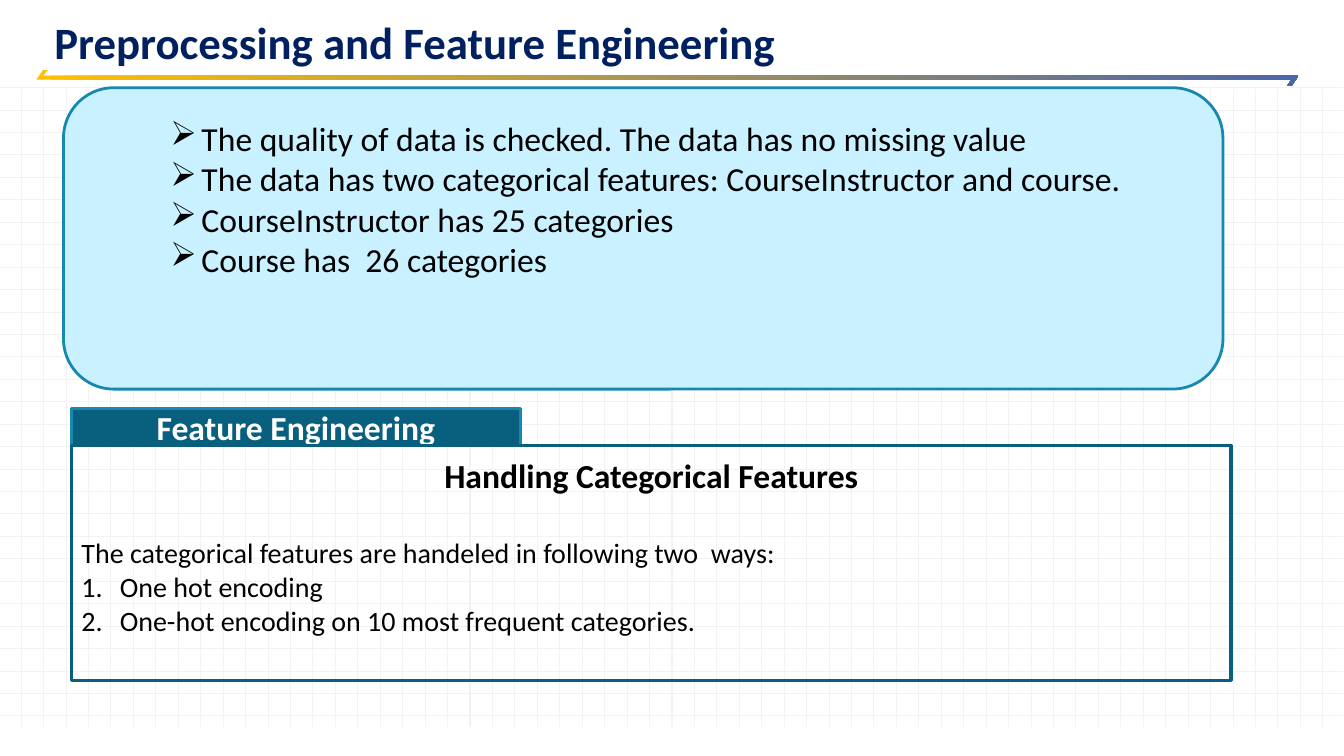
from lxml import etree
from pptx import Presentation
from pptx.dml.color import RGBColor
from pptx.enum.shapes import MSO_CONNECTOR as Connector, MSO_SHAPE as Shape
from pptx.enum.text import MSO_ANCHOR as Anchor, PP_ALIGN as Align
from pptx.oxml.ns import qn
from pptx.util import Inches, Pt

COLORS = {
    "grid": "F2F2F2", "gold": "FFC000", "blue": "4A66AC", "navy": "002060",
    "teal": "095F7E", "edge": "1888B1", "pale": "C9F1FF",
    "black": "000000", "white": "FFFFFF",
}


def rgb(name):
    return RGBColor.from_string(COLORS[name])


class SlideBuilder:
    font = "Calibri"

    def __init__(self, slide):
        self.slide = slide
        self.shapes = slide.shapes

    def line(self, x1, y1, x2, y2, color, width):
        connector = self.shapes.add_connector(
            Connector.STRAIGHT, Inches(x1), Inches(y1), Inches(x2), Inches(y2))
        connector.line.color.rgb = rgb(color)
        connector.line.width = Pt(width)
        properties = connector.element.find(qn("p:spPr"))
        etree.SubElement(properties, qn("a:effectLst"))

    def box(self, kind, left, top, width, height, edge, edge_width, fill=None):
        shape = self.shapes.add_shape(
            kind, Inches(left), Inches(top), Inches(width), Inches(height))
        shape.shadow.inherit = False
        if fill:
            shape.fill.solid()
            shape.fill.fore_color.rgb = rgb(fill)
        else:
            shape.fill.background()
        shape.line.color.rgb = rgb(edge)
        shape.line.width = Pt(edge_width)
        return shape

    def gradient_outline(self, points, start, end):
        corners = [(Inches(x), Inches(y)) for x, y in points]
        builder = self.shapes.build_freeform(*corners[0])
        builder.add_line_segments(corners[1:], close=True)
        shape = builder.convert_to_shape()
        shape.shadow.inherit = False
        shape.line.fill.background()
        shape.fill.gradient()
        shape.fill.gradient_angle = 0
        for stop, color in zip(shape.fill.gradient_stops, (start, end)):
            stop.color.rgb = rgb(color)

    def text_box(self, left, top, width, height, anchor=Anchor.TOP):
        shape = self.shapes.add_textbox(
            Inches(left), Inches(top), Inches(width), Inches(height))
        shape.text_frame.word_wrap = True
        shape.text_frame.vertical_anchor = anchor
        return shape

    def paragraph(self, shape, text, size, color="black", bold=False,
                  align=Align.LEFT):
        frame = shape.text_frame
        paragraph = frame.paragraphs[0]
        if paragraph.runs:
            paragraph = frame.add_paragraph()
        paragraph.alignment = align
        run = paragraph.add_run()
        run.text = text
        run.font.name = self.font
        run.font.size = Pt(size)
        run.font.bold = bold
        run.font.color.rgb = rgb(color)
        return paragraph

    def bullet(self, paragraph, indent, tag, **attributes):
        properties = paragraph._p.get_or_add_pPr()
        properties.set("marL", str(Inches(indent)))
        properties.set("indent", str(-Inches(indent)))
        color = etree.SubElement(properties, qn("a:buClr"))
        etree.SubElement(color, qn("a:srgbClr"), val=COLORS["black"])
        etree.SubElement(properties, qn(tag), **attributes)


def main():
    presentation = Presentation()
    presentation.slide_width = Inches(13.33)
    presentation.slide_height = Inches(7.5)
    page = SlideBuilder(
        presentation.slides.add_slide(presentation.slide_layouts[6]))

    # Background grid
    columns, rows = 59, 29
    step = (13.12 - 0.21) / (columns - 1)
    for column in range(columns):
        x = 0.21 + column * step
        page.line(x, 0.88, x, 7.21, "grid", 0.75)
    for row in range(rows):
        y = 0.87 + row * step
        page.line(13.32, y, 0, y, "grid", 0.75)

    # Title and its gradient rule
    page.gradient_outline(
        [(0.43, 0.69), (0.48, 0.69), (0.43, 0.75), (12.88, 0.75),
         (12.81, 0.85), (12.77, 0.85), (12.81, 0.79), (0.36, 0.79)],
        "gold", "blue")
    title = page.text_box(0.44, 0, 12.44, 0.74, Anchor.BOTTOM)
    page.paragraph(title, "Preprocessing and Feature Engineering", 32,
                   "navy", bold=True).line_spacing = 0.9

    # Feature engineering tab
    tab = page.box(Shape.RECTANGLE, 0.71, 4.05, 4.45, 0.37, "edge", 2, "teal")
    tab.text_frame.vertical_anchor = Anchor.MIDDLE
    page.paragraph(tab, "Feature Engineering", 24, "white", bold=True,
                   align=Align.CENTER)

    # Feature engineering panel
    panel = page.box(Shape.RECTANGLE, 0.71, 4.42, 11.5, 2.33, "teal", 2.25)
    panel.text_frame.vertical_anchor = Anchor.MIDDLE
    panel.text_frame.margin_bottom = Inches(0.39)
    page.paragraph(panel, "Handling Categorical Features", 24, bold=True,
                   align=Align.CENTER)
    intro = page.paragraph(
        panel, "The categorical features are handeled in following two  ways:",
        20)
    intro.space_before = Pt(29)
    for text in ("One hot encoding",
                 "One-hot encoding on 10 most frequent categories."):
        page.bullet(page.paragraph(panel, text, 20), 0.38,
                    "a:buAutoNum", type="arabicPeriod")

    # Data quality card
    card = page.box(Shape.ROUNDED_RECTANGLE, 0.63, 0.87, 11.5, 2.99,
                    "edge", 2, "pale")
    card.adjustments[0] = 0.167
    findings = page.text_box(1.59, 1.12, 9.82, 2.5)
    for text in (
        "The quality of data is checked. The data has no missing value",
        "The data has two categorical features: CourseInstructor and course.",
        "CourseInstructor has 25 categories",
        "Course has  26 categories",
    ):
        page.bullet(page.paragraph(findings, text, 24), 0.31,
                    "a:buChar", char="➢")

    presentation.save("out.pptx")


if __name__ == "__main__":
    main()
